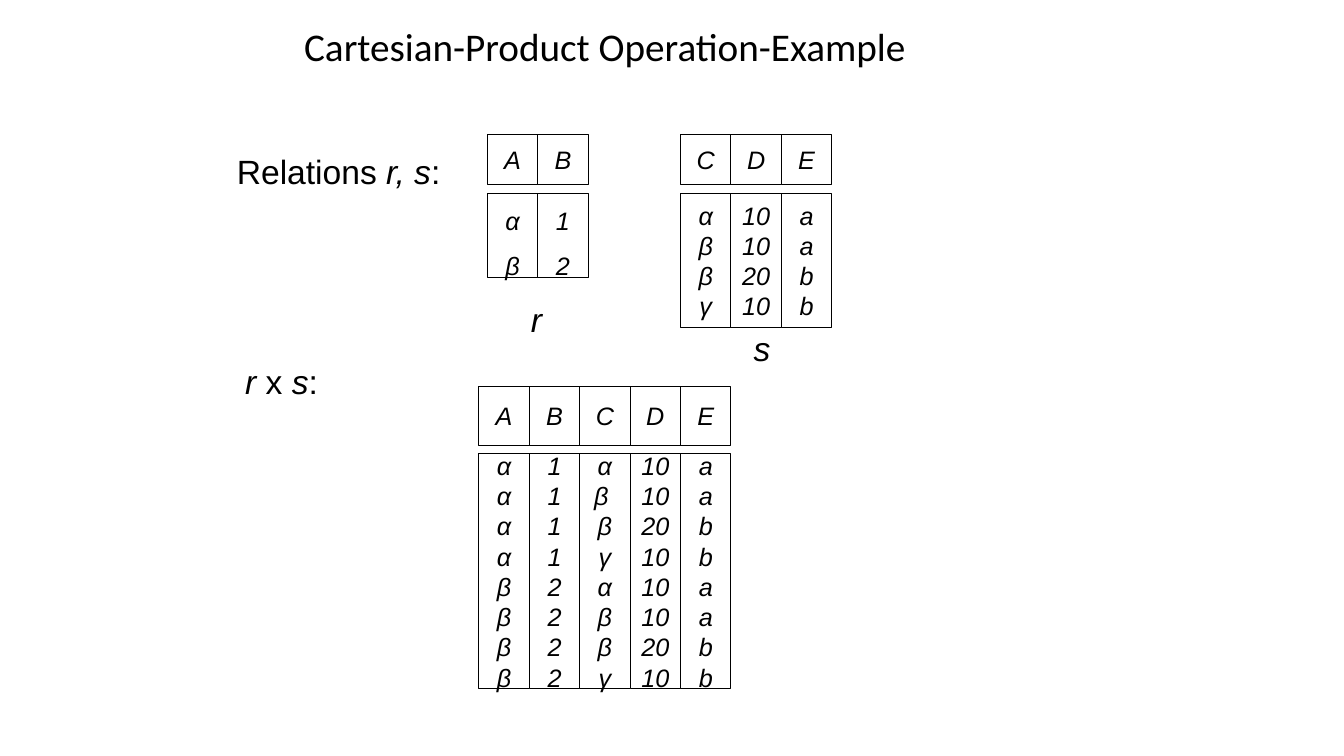
from pptx import Presentation
from pptx.dml.color import RGBColor
from pptx.enum.shapes import MSO_SHAPE
from pptx.enum.text import MSO_ANCHOR, MSO_AUTO_SIZE, PP_ALIGN
from pptx.util import Inches, Pt

COLORS = {"ink": "000000", "paper": "FFFFFF"}
GRID = 1 / 12
CELL_WIDTH = 6
HEADER_GAP = 1

TITLE = "Cartesian-Product Operation-Example"
CAPTIONS = [
    {"at": (27, 17, 92.3, 4.3), "runs": [("Relations ", False), ("r, s", True), (":", False)]},
    {"at": (28, 42, 92.3, 4.3),
     "runs": [("r", True), (" x ", False), ("s", True), (":", False)]},
]
RELATION_NAMES = [
    {"at": (62, 35, 3.7, 6), "name": "r"},
    {"at": (88.5, 38.4, 4.4, 6), "name": "s"},
]
RELATIONS = [
    {"corner": (58, 16), "heights": (6, 10), "spacing": 1.5,
     "columns": {"A": ["α", "β"], "B": ["1", "2"]}},
    {"corner": (81, 16), "heights": (6, 16), "spacing": 1.0,
     "columns": {"C": ["α", "β", "β", "γ"],
                 "D": ["10", "10", "20", "10"],
                 "E": ["a", "a", "b", "b"]}},
    {"corner": (57, 46), "heights": (7, 28), "spacing": 1.0,
     "columns": {"A": ["α"] * 4 + ["β"] * 4,
                 "B": ["1"] * 4 + ["2"] * 4,
                 "C": ["α", "β ", "β", "γ", "α", "β", "β", "γ"],
                 "D": ["10", "10", "20", "10"] * 2,
                 "E": ["a", "a", "b", "b"] * 2}},
]


def color(key):
    return RGBColor.from_string(COLORS[key])


def on_grid(*units):
    return [Inches(unit * GRID) for unit in units]


def write(frame, paragraphs, size=18, font="Arial", align=PP_ALIGN.CENTER,
          anchor=MSO_ANCHOR.MIDDLE, wrap=False, spacing=1.0):
    frame.auto_size = MSO_AUTO_SIZE.NONE
    frame.word_wrap = wrap
    frame.vertical_anchor = anchor
    for index, runs in enumerate(paragraphs):
        paragraph = frame.add_paragraph() if index else frame.paragraphs[0]
        paragraph.alignment = align
        paragraph.line_spacing = spacing
        for text, italic in runs:
            run = paragraph.add_run()
            run.text = text
            run.font.name = font
            run.font.size = Pt(size)
            run.font.italic = italic
            run.font.color.rgb = color("ink")


def add_cell(slide, at, values, spacing=1.0):
    cell = slide.shapes.add_shape(MSO_SHAPE.RECTANGLE, *on_grid(*at))
    cell.shadow.inherit = False
    cell.fill.solid()
    cell.fill.fore_color.rgb = color("paper")
    cell.line.color.rgb = color("ink")
    cell.line.width = Pt(0.75)
    write(cell.text_frame, [[(value, True)] for value in values], spacing=spacing)


def add_relation(slide, relation):
    left, top = relation["corner"]
    header_height, body_height = relation["heights"]
    body_top = top + header_height + HEADER_GAP
    for index, (attribute, values) in enumerate(relation["columns"].items()):
        x = left + index * CELL_WIDTH
        add_cell(slide, (x, top, CELL_WIDTH, header_height), [attribute])
        add_cell(slide, (x, body_top, CELL_WIDTH, body_height), values, relation["spacing"])


def main():
    deck = Presentation()
    deck.slide_width, deck.slide_height = Inches(13.33), Inches(7.5)
    slide = deck.slides.add_slide(deck.slide_layouts[5])

    title = slide.shapes.title
    title.left, title.top, title.width, title.height = on_grid(35, 2.5, 100.8, 6.6)
    write(title.text_frame, [[(TITLE, False)]], size=28, font="Calibri",
          align=PP_ALIGN.LEFT, wrap=True, spacing=0.9)

    for caption in CAPTIONS:
        frame = slide.shapes.add_textbox(*on_grid(*caption["at"])).text_frame
        frame.margin_top = Inches(0.08)
        write(frame, [caption["runs"]], size=24, align=PP_ALIGN.LEFT,
              anchor=MSO_ANCHOR.TOP, wrap=True)

    for relation in RELATIONS:
        add_relation(slide, relation)

    for label in RELATION_NAMES:
        frame = slide.shapes.add_textbox(*on_grid(*label["at"])).text_frame
        write(frame, [[(label["name"], True)]], size=24)

    deck.save("out.pptx")


if __name__ == "__main__":
    main()
